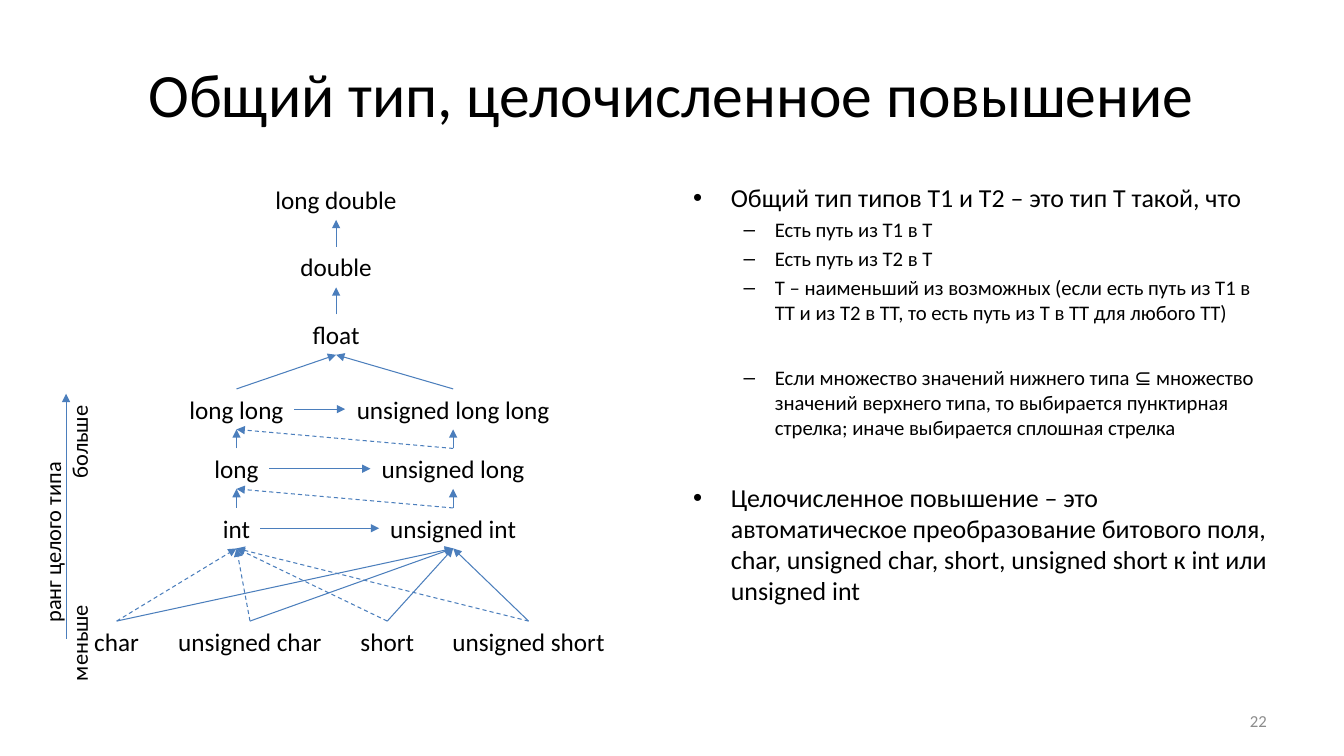
import pptx
import pptx.dml.color
import pptx.enum.dml
import pptx.enum.shapes
import pptx.enum.text
import pptx.oxml.ns
import pptx.util
import lxml.etree

Cm = pptx.util.Cm
Pt = pptx.util.Pt
ALIGN = pptx.enum.text.PP_ALIGN
ANCHOR = pptx.enum.text.MSO_ANCHOR

COLORS = {"text": "000000", "arrow": "4B7EBC", "number": "8C8C8C"}
FONT = "Calibri"
NODE_HEIGHT = 1.02
LEFT_COLUMN, MIDDLE, RIGHT_COLUMN = 3.85, 6.36, 9.31

NODES = {
    "long double": (MIDDLE, 0, 3.61),
    "double": (MIDDLE, 1.7, 2.34),
    "float": (MIDDLE, 3.4, 1.7),
    "long long": (LEFT_COLUMN, 5.28, 2.92),
    "unsigned long long": (RIGHT_COLUMN, 5.28, 5.44),
    "long": (LEFT_COLUMN, 6.78, 1.65),
    "unsigned long": (RIGHT_COLUMN, 6.78, 4.17),
    "int": (LEFT_COLUMN, 8.28, 1.19),
    "unsigned int": (RIGHT_COLUMN, 8.28, 3.73),
    "char": (0.83, 11.13, 1.65),
    "unsigned char": (4.19, 11.13, 4.17),
    "short": (7.65, 11.13, 1.88),
    "unsigned short": (11.21, 11.13, 4.39),
}
RANKS = ["int", "long", "long long"]
SMALL_TYPES = ["char", "unsigned char", "short", "unsigned short"]

RULES = [
    (0, "Общий тип типов T1 и T2 – это тип T такой, что", 3.7),
    (1, "Есть путь из Т1 в Т", 3),
    (1, "Есть путь из Т2 в Т", 3),
    (1, "Т – наименьший из возможных (если есть путь из Т1 в ТТ и из Т2 в ТТ, "
        "то есть путь из Т в ТТ для любого ТТ)", 3),
    (1, "Если множество значений нижнего типа ⊆ множество значений верхнего типа, "
        "то выбирается пунктирная стрелка; иначе выбирается сплошная стрелка", 29),
    (0, "Целочисленное повышение – это автоматическое преобразование битового поля, "
        "char, unsigned char, short, unsigned short к int или unsigned int", 30),
]
BULLETS = [("•", 18.5, 0.95, -0.95), ("–", 14.8, 2.06, -0.79)]


def color(name):
    return pptx.dml.color.RGBColor.from_string(COLORS[name])


def write(paragraph, text, size=18, fill="text", align=ALIGN.LEFT, before=0):
    run = paragraph.add_run()
    run.text = text
    run.font.name = FONT
    run.font.size = Pt(size)
    run.font.color.rgb = color(fill)
    paragraph.alignment = align
    paragraph.space_before = Pt(before)


def add_frame(shapes, left, top, width, height, wrap=True, anchor=ANCHOR.TOP):
    shape = shapes.add_textbox(Cm(left), Cm(top), Cm(width), Cm(height))
    shape.text_frame.word_wrap = wrap
    shape.text_frame.vertical_anchor = anchor
    return shape


def add_child(parent, tag, **attributes):
    child = lxml.etree.SubElement(parent, pptx.oxml.ns.qn(tag))
    for name, value in attributes.items():
        child.set(name, str(value))
    return child


def add_arrow(shapes, start, end, dashed=False):
    connector = shapes.add_connector(
        pptx.enum.shapes.MSO_CONNECTOR.STRAIGHT, *(Cm(value) for value in (*start, *end)))
    connector.line.color.rgb = color("arrow")
    connector.line.width = Pt(0.75)
    if dashed:
        connector.line.dash_style = pptx.enum.dml.MSO_LINE.DASH
    add_child(connector.line._get_or_add_ln(), "a:tailEnd", type="triangle")
    add_child(connector._element.spPr, "a:effectLst")


def add_title(slide, left, top, width, height):
    title = slide.shapes.title
    title.left, title.top, title.width, title.height = (
        Cm(value) for value in (left, top, width, height))
    title.text_frame.vertical_anchor = ANCHOR.MIDDLE
    write(title.text_frame.paragraphs[0], "Общий тип, целочисленное повышение",
          size=44, align=ALIGN.CENTER)


def add_type_graph(slide, left, top):
    for name, (center, offset, width) in NODES.items():
        shape = add_frame(slide.shapes, left + center - width / 2, top + offset,
                          width, NODE_HEIGHT, wrap=False)
        write(shape.text_frame.paragraphs[0], name, align=ALIGN.CENTER)

    def rise(source, target, dashed=False):
        source_center, source_top, _ = NODES[source]
        target_center, target_top, _ = NODES[target]
        add_arrow(slide.shapes, (left + source_center, top + source_top),
                  (left + target_center, top + target_top + NODE_HEIGHT), dashed)

    rise("double", "long double")
    rise("float", "double")
    rise("long long", "float")
    rise("unsigned long long", "float")
    for lower, upper in zip(RANKS, RANKS[1:]):
        rise(lower, upper)
        rise(f"unsigned {lower}", f"unsigned {upper}")
        rise(f"unsigned {lower}", upper, dashed=True)
    for name in SMALL_TYPES:
        rise(name, "int", dashed=True)
        rise(name, "unsigned int")
    for name in RANKS:
        center, offset, width = NODES[name]
        unsigned_center, _, unsigned_width = NODES[f"unsigned {name}"]
        middle = top + offset + NODE_HEIGHT / 2
        add_arrow(slide.shapes, (left + center + width / 2, middle),
                  (left + unsigned_center - unsigned_width / 2, middle))


def add_rank_axis(slide, left, top, width, height):
    shapes = slide.shapes.add_group_shape().shapes
    center, middle = left + width / 2, top + height / 2
    label = add_frame(shapes, center - height / 2, middle - width / 2, height, width)
    label.rotation = 270
    write(label.text_frame.paragraphs[0], "ранг целого типа", size=16, align=ALIGN.CENTER)
    ends = label.text_frame.add_paragraph()
    write(ends, "меньше\tбольше", size=16)
    stops = add_child(ends._p.get_or_add_pPr(), "a:tabLst")
    add_child(stops, "a:tab", pos=Cm(height - 0.55), algn="r")
    add_arrow(shapes, (center, top + 6.17), (center, top))


def add_rules(slide, left, top, width, height):
    frame = add_frame(slide.shapes, left, top, width, height).text_frame
    for index, (level, text, before) in enumerate(RULES):
        paragraph = frame.add_paragraph() if index else frame.paragraphs[0]
        mark, size, margin, indent = BULLETS[level]
        write(paragraph, text, size=size, before=before)
        paragraph.level = level
        properties = paragraph._p.get_or_add_pPr()
        properties.set("marL", str(Cm(margin)))
        properties.set("indent", str(Cm(indent)))
        add_child(properties, "a:buFont", typeface="Arial")
        add_child(properties, "a:buChar", char=mark)


def add_number(slide, left, top, width, height):
    shape = add_frame(slide.shapes, left, top, width, height, anchor=ANCHOR.MIDDLE)
    write(shape.text_frame.paragraphs[0], "22", size=12, fill="number", align=ALIGN.RIGHT)


def main():
    presentation = pptx.Presentation()
    presentation.slide_width = Cm(33.87)
    presentation.slide_height = Cm(19.05)
    slide = presentation.slides.add_slide(presentation.slide_layouts.get_by_name("Title Only"))
    add_title(slide, 1.69, 0.76, 30.48, 3.18)
    add_rules(slide, 17.22, 4.45, 14.96, 12.57)
    add_type_graph(slide, 2.11, 4.52)
    add_rank_axis(slide, 0.85, 9.92, 1.63, 7.49)
    add_number(slide, 24.28, 17.65, 7.9, 1.02)
    presentation.save("out.pptx")


if __name__ == "__main__":
    main()
